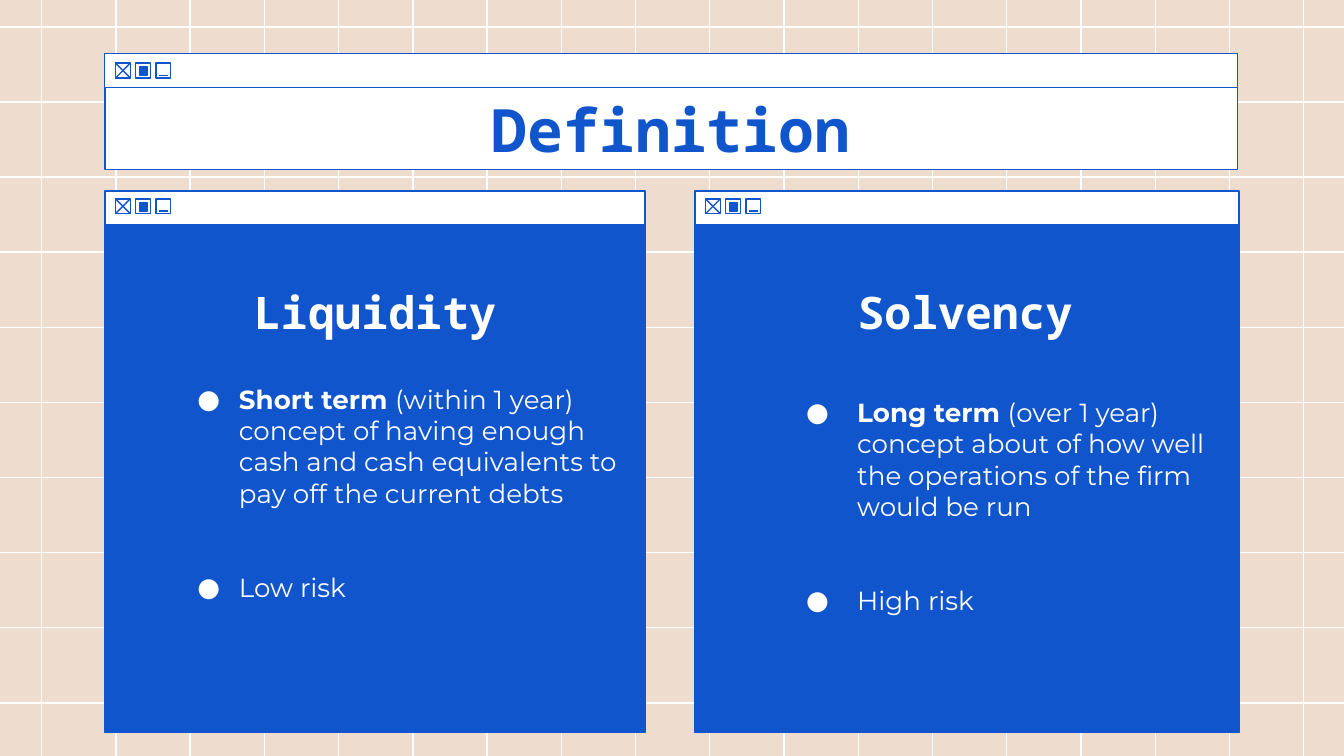
from lxml import etree
from pptx import Presentation
from pptx.dml.color import RGBColor
from pptx.enum.shapes import MSO_CONNECTOR, MSO_SHAPE
from pptx.enum.text import MSO_ANCHOR, MSO_AUTO_SIZE, PP_ALIGN
from pptx.oxml.ns import qn
from pptx.util import Inches, Pt

RECTANGLE = MSO_SHAPE.RECTANGLE
STRAIGHT = MSO_CONNECTOR.STRAIGHT
MIDDLE, TOP = MSO_ANCHOR.MIDDLE, MSO_ANCHOR.TOP
CENTER, LEFT = PP_ALIGN.CENTER, PP_ALIGN.LEFT
NO_AUTOFIT = MSO_AUTO_SIZE.NONE

SAND = RGBColor(0xEE, 0xDC, 0xCE)
BLUE = RGBColor(0x11, 0x55, 0xCC)
WHITE = RGBColor(0xFF, 0xFF, 0xFF)
HEADING_FONT, BODY_FONT = "Noto Sans Mono", "Montserrat"

HEADING = "Definition"
CONCEPTS = [
    {
        "name": "Liquidity",
        "points": [
            ("Short term ", "(within 1 year) concept of having enough cash "
                            "and cash equivalents to pay off the current debts"),
            ("", "Low risk"),
        ],
        "left": 0.78, "width": 4.02,
        "points_left": 1.37, "points_top": 2.75,
        "indent": 0.31, "hanging": 0.31,
    },
    {
        "name": "Solvency",
        "points": [
            ("Long term ", "(over 1 year) concept about of how well "
                           "the operations of the firm would be run"),
            ("", "High risk"),
        ],
        "left": 5.17, "width": 4.05,
        "points_left": 5.78, "points_top": 2.85,
        "indent": 0.5, "hanging": 0.38,
    },
]

SLIDE_W = 10
SLIDE_H = SLIDE_W * 9 / 16
GRID_COLUMNS, GRID_ROWS = 18, 10
GRID_LEFT, GRID_RIGHT = 0.31, 9.7
GRID_TOP, GRID_BOTTOM = 0.2, 5.23
HEADING_LEFT, HEADING_TOP, HEADING_W, HEADING_H = 0.78, 0.4, 8.43, 0.61
PANEL_TOP, PANEL_H = 1.42, 3.78
BAR_H = 0.25
BUTTON, BUTTON_STEP, BUTTON_INSET = 0.11, 0.15, 0.08
NAME_TOP, NAME_W, NAME_H = 2.02, 4.02, 0.6
POINTS_W, POINTS_H, POINTS_GAP = 3.43, 1.99, 33.6

prs = Presentation()
prs.slide_width, prs.slide_height = Inches(SLIDE_W), Inches(SLIDE_H)
slide = prs.slides.add_slide(prs.slide_layouts[5])
slide.background.fill.solid()
slide.background.fill.fore_color.rgb = SAND
shapes = slide.shapes


def add_line(x1, y1, x2, y2, color):
    line = shapes.add_connector(STRAIGHT, Inches(x1), Inches(y1), Inches(x2), Inches(y2))
    line.line.color.rgb = color
    line.line.width = Pt(0.75)
    etree.SubElement(line._element.spPr, qn("a:effectLst"))


def paint(shape, fill):
    if fill is None:
        shape.fill.background()
    else:
        shape.fill.solid()
        shape.fill.fore_color.rgb = fill
    shape.line.color.rgb = BLUE
    shape.line.width = Pt(0.75)


def add_rect(left, top, width, height, fill=None):
    rect = shapes.add_shape(RECTANGLE, Inches(left), Inches(top), Inches(width), Inches(height))
    rect.shadow.inherit = False
    paint(rect, fill)


def add_window_bar(left, top, width, button_drop):
    add_rect(left, top, width, BAR_H, WHITE)
    y = top + button_drop
    close, maximize, minimize = (left + BUTTON_INSET + i * BUTTON_STEP for i in range(3))
    for x in (close, maximize, minimize):
        add_rect(x, y, BUTTON, BUTTON)
    add_line(close, y, close + BUTTON, y + BUTTON, BLUE)
    add_line(close + BUTTON, y, close, y + BUTTON, BLUE)
    add_rect(maximize + 0.03, y + 0.03, 0.06, 0.06, BLUE)
    add_line(minimize + 0.02, y + 0.09, minimize + 0.09, y + 0.09, BLUE)


def prepare_frame(frame, anchor):
    frame.word_wrap = True
    frame.auto_size = NO_AUTOFIT
    frame.vertical_anchor = anchor
    frame.margin_left = frame.margin_right = Inches(0.1)
    frame.margin_top = frame.margin_bottom = Inches(0.1)


def style(font, name, size, color):
    font.name, font.size, font.color.rgb = name, Pt(size), color


def write_heading(shape, text, size, color):
    frame = shape.text_frame
    prepare_frame(frame, MIDDLE)
    frame.text = text
    paragraph = frame.paragraphs[0]
    paragraph.alignment = CENTER
    style(paragraph.font, HEADING_FONT, size, color)
    paragraph.font.bold = True


def add_bullet(paragraph, indent, hanging):
    properties = paragraph._p.get_or_add_pPr()
    properties.set("marL", str(Inches(indent)))
    properties.set("indent", str(-Inches(hanging)))
    bullet_color = etree.SubElement(properties, qn("a:buClr"))
    etree.SubElement(bullet_color, qn("a:srgbClr"), val=str(WHITE))
    etree.SubElement(properties, qn("a:buFont"), typeface=BODY_FONT)
    etree.SubElement(properties, qn("a:buChar"), char="●")


def add_text_box(left, top, width, height):
    return shapes.add_textbox(Inches(left), Inches(top), Inches(width), Inches(height))


def write_points(concept):
    box = add_text_box(concept["points_left"], concept["points_top"], POINTS_W, POINTS_H)
    frame = box.text_frame
    prepare_frame(frame, TOP)
    for i, (term, explanation) in enumerate(concept["points"]):
        paragraph = frame.add_paragraph() if i else frame.paragraphs[0]
        paragraph.alignment = LEFT
        if i:
            paragraph.space_before = Pt(POINTS_GAP)
        add_bullet(paragraph, concept["indent"], concept["hanging"])
        style(paragraph.font, BODY_FONT, 14, WHITE)
        if term:
            term_run = paragraph.add_run()
            term_run.text = term
            term_run.font.bold = True
        paragraph.add_run().text = explanation


for column in range(GRID_COLUMNS):
    x = GRID_LEFT + column * (GRID_RIGHT - GRID_LEFT) / (GRID_COLUMNS - 1)
    add_line(x, 0, x, SLIDE_H, WHITE)
for row in range(GRID_ROWS):
    y = GRID_TOP + row * (GRID_BOTTOM - GRID_TOP) / (GRID_ROWS - 1)
    add_line(0, y, SLIDE_W, y, WHITE)

title = shapes.title
title.left, title.top = Inches(HEADING_LEFT), Inches(HEADING_TOP + BAR_H)
title.width, title.height = Inches(HEADING_W), Inches(HEADING_H)
paint(title, WHITE)
write_heading(title, HEADING, 32, BLUE)
shapes._spTree.append(title._element)
add_window_bar(HEADING_LEFT, HEADING_TOP, HEADING_W, 0.07)

for concept in CONCEPTS:
    left, width = concept["left"], concept["width"]
    add_rect(left, PANEL_TOP + BAR_H, width, PANEL_H, BLUE)
    add_window_bar(left, PANEL_TOP, width, 0.06)
    name_box = add_text_box(left, NAME_TOP, NAME_W, NAME_H)
    write_heading(name_box, concept["name"], 24, WHITE)
    write_points(concept)

prs.save("out.pptx")
